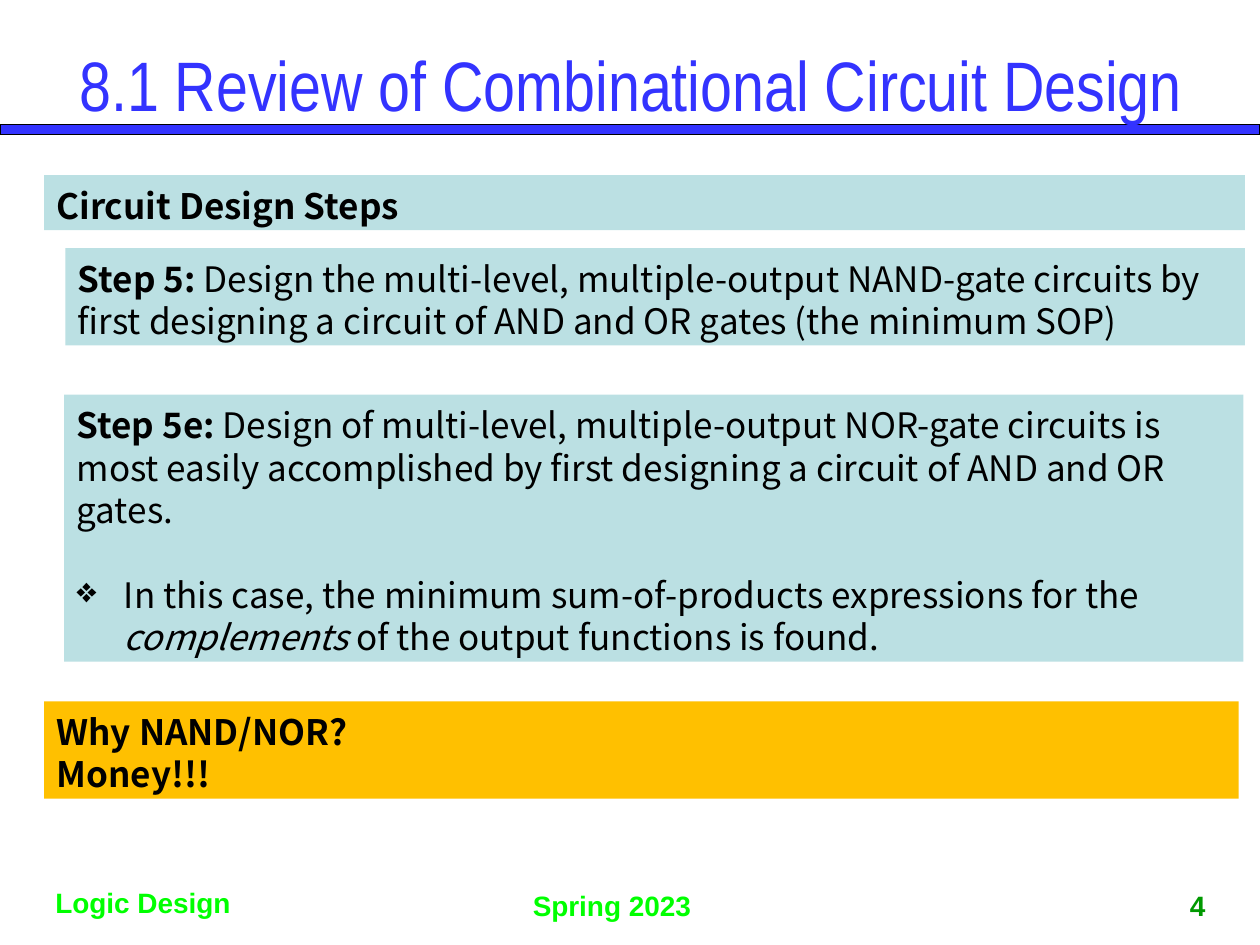
"""Build the circuit design review slide."""
import lxml.etree
import pptx
import pptx.util
import pptx.dml.color
import pptx.enum.shapes
import pptx.enum.text
import pptx.oxml.ns

Pt = pptx.util.Pt
Align = pptx.enum.text.PP_ALIGN
Anchor = pptx.enum.text.MSO_ANCHOR

THEME = {
    "blue": "3333FF", "black": "000000", "panel": "BBE0E3", "gold": "FFC000",
    "green": "00FF00", "dark_green": "009900",
    "title_size": 40, "body_size": 20, "footer_size": 16, "line_pitch": 24.2, "bullet_indent": 27,
    "title_font": "Arial Narrow", "body_font": "Noto Sans CJK KR", "footer_font": "Arial",
}
TITLE = "8.1 Review of Combinational Circuit Design"
TITLE_AREA = (12.24, 25.92, 696.24, 43.92)
BAR_AREA = (0, 71.28, 720, 5.76)

PANELS = [
    ((25.2, 100.08, 686.16, 31.4), "panel", [("", [("Circuit Design Steps", "bold")])]),
    ((37.44, 141.84, 673.92, 55.6), "panel", [
        ("", [("Step 5: ", "bold"),
              ("Design the multi-level, multiple-output NAND-gate circuits by first designing "
               "a circuit of AND and OR gates (the minimum SOP)", "")])]),
    ((36.72, 225.5, 673.92, 152.64), "panel", [
        ("", [("Step 5e: ", "bold"),
              ("Design of multi-level, multiple-output NOR-gate circuits is most easily "
               "accomplished by first designing a circuit of AND and OR gates.", "")]),
        ("❖", [("In this case, the minimum sum-of-products expressions for the ", ""),
               ("complements ", "italic"),
               ("of the output functions is found.", "")])]),
    ((25.2, 400.8, 682.56, 55.6), "gold", [
        ("", [("Why NAND/NOR?", "bold")]), ("", [("Money!!!", "bold")])]),
]
FOOTERS = [
    ("Spring 2023", (297.36, 504, 114.48, 26.64), "green", Align.LEFT, Anchor.TOP),
    ("Logic Design", (19.44, 502.56, 124.56, 26.64), "green", Align.CENTER, Anchor.TOP),
    ("4", (657.36, 496.8, 54, 33.84), "dark_green", Align.CENTER, Anchor.BOTTOM),
]


def color(name):
    return pptx.dml.color.RGBColor.from_string(THEME[name])


def add_span(para, text, role, color_name, style=""):
    span = para.add_run()
    span.text = text
    span.font.name = THEME[role + "_font"]
    span.font.size = Pt(THEME[role + "_size"])
    span.font.color.rgb = color(color_name)
    span.font.bold = style == "bold"
    span.font.italic = style == "italic"


def add_bar(slide, area, fill_name):
    bar = slide.shapes.add_shape(pptx.enum.shapes.MSO_SHAPE.RECTANGLE, *map(Pt, area))
    bar.shadow.inherit = False
    bar.fill.solid()
    bar.fill.fore_color.rgb = color(fill_name)
    return bar


def set_bullet(para, mark):
    properties = para._p.get_or_add_pPr()
    indent = Pt(THEME["bullet_indent"])
    properties.set("marL", str(indent))
    properties.set("indent", str(-indent))
    bullet = lxml.etree.SubElement(properties, pptx.oxml.ns.qn("a:buChar"))
    bullet.set("char", mark)


def add_panel(slide, area, fill_name, paragraphs):
    panel = add_bar(slide, area, fill_name)
    panel.line.fill.background()
    frame = panel.text_frame
    frame.word_wrap = True
    frame.vertical_anchor = Anchor.TOP
    frame.margin_top, frame.margin_bottom = Pt(5), Pt(2.2)
    for index, (mark, spans) in enumerate(paragraphs):
        para = frame.add_paragraph() if index else frame.paragraphs[0]
        para.alignment = Align.LEFT
        if mark:
            set_bullet(para, mark)
            para.space_before = Pt(THEME["line_pitch"])
        para.line_spacing = Pt(THEME["line_pitch"])
        for text, style in spans:
            add_span(para, text, "body", "black", style)


def add_footer(slide, text, area, color_name, alignment, anchor):
    box = slide.shapes.add_textbox(*map(Pt, area))
    box.text_frame.word_wrap = True
    box.text_frame.vertical_anchor = anchor
    para = box.text_frame.paragraphs[0]
    para.alignment = alignment
    add_span(para, text, "footer", color_name, "bold")


def place_title(slide):
    title = slide.shapes.title
    title.left, title.top, title.width, title.height = map(Pt, TITLE_AREA)
    title.text_frame.auto_size = pptx.enum.text.MSO_AUTO_SIZE.NONE
    title.text_frame.vertical_anchor = Anchor.MIDDLE
    para = title.text_frame.paragraphs[0]
    para.alignment = Align.CENTER
    add_span(para, TITLE, "title", "blue")
    slide.shapes._spTree.append(title._element)


def main():
    deck = pptx.Presentation()
    deck.slide_width, deck.slide_height = Pt(720), Pt(540)
    slide = deck.slides.add_slide(deck.slide_layouts[5])
    bar = add_bar(slide, BAR_AREA, "blue")
    bar.line.color.rgb = color("black")
    bar.line.width = Pt(0.75)
    for footer in FOOTERS:
        add_footer(slide, *footer)
    place_title(slide)
    for panel in PANELS:
        add_panel(slide, *panel)
    deck.save("out.pptx")


if __name__ == "__main__":
    main()
